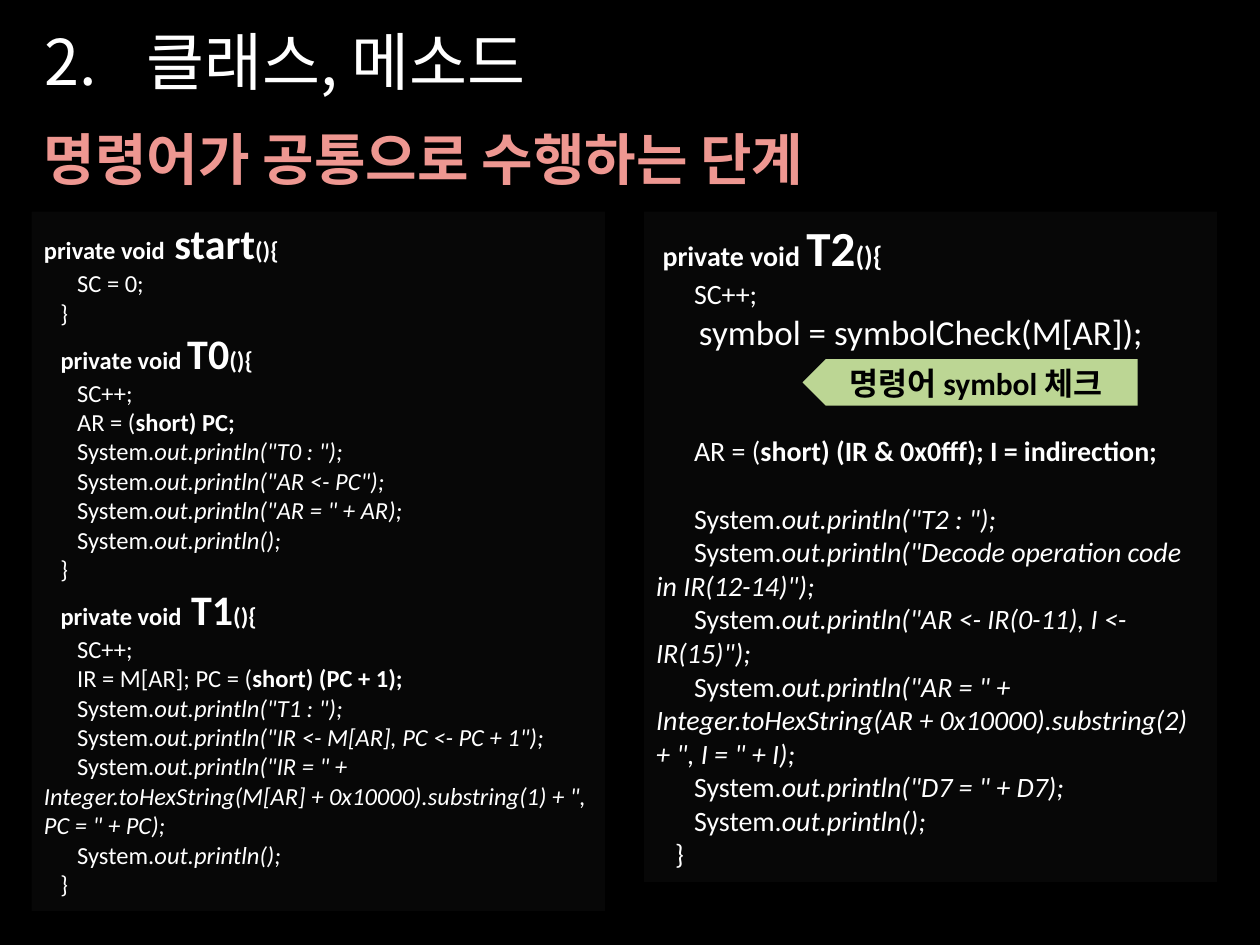
from lxml import etree
from pptx import Presentation
from pptx.dml.color import RGBColor
from pptx.enum.shapes import MSO_SHAPE
from pptx.enum.text import MSO_ANCHOR, MSO_AUTO_SIZE, PP_ALIGN
from pptx.oxml.ns import qn
from pptx.util import Inches, Pt

BLACK = RGBColor(0x00, 0x00, 0x00)
WHITE = RGBColor(0xFF, 0xFF, 0xFF)
PANEL = RGBColor(0x0D, 0x0D, 0x0D)
CORAL = RGBColor(0xEE, 0x97, 0x91)
GREEN = RGBColor(0xBC, 0xD6, 0x94)

RECTANGLE = MSO_SHAPE.RECTANGLE
PENTAGON = MSO_SHAPE.PENTAGON
TOP, MIDDLE = MSO_ANCHOR.TOP, MSO_ANCHOR.MIDDLE
LEFT, CENTER = PP_ALIGN.LEFT, PP_ALIGN.CENTER
NO_FIT, GROW = MSO_AUTO_SIZE.NONE, MSO_AUTO_SIZE.SHAPE_TO_FIT_TEXT

PLAIN, BOLD, ITALIC = {}, {"bold": True}, {"italic": True}
BODY = "      "
CLOSE = [("   }", PLAIN)]


class SlideWriter:
    """Holds the style and the current slide; places are percent of the slide."""

    latin = "Calibri"
    korean = "Noto Sans CJK KR"

    def __init__(self, deck):
        self.deck = deck
        self.slide = deck.slides.add_slide(deck.slide_layouts[5])
        fill = self.slide.background.fill
        fill.solid()
        fill.fore_color.rgb = BLACK

    def area(self, left, top, width, height):
        across, down = self.deck.slide_width / 100, self.deck.slide_height / 100
        return (round(left * across), round(top * down),
                round(width * across), round(height * down))

    def span(self, para, text, size, color=WHITE, bold=False, italic=False, font=None):
        run = para.add_run()
        run.text = text
        run.font.size = Pt(size)
        run.font.bold = bold
        run.font.italic = italic
        run.font.color.rgb = color
        run.font.name = font or self.latin
        east_asian = etree.SubElement(run.font._element, qn("a:ea"))
        east_asian.set("typeface", self.korean)

    def title(self, place, text, number):
        box = self.slide.shapes.title
        box.left, box.top, box.width, box.height = self.area(*place)
        frame = box.text_frame
        frame.auto_size = NO_FIT
        frame.vertical_anchor = TOP
        para = frame.paragraphs[0]
        para.alignment = LEFT
        properties = para._p.get_or_add_pPr()
        properties.set("marL", str(Inches(0.81)))
        properties.set("indent", str(-Inches(0.81)))
        etree.SubElement(properties, qn("a:buFont"), typeface=self.korean)
        etree.SubElement(properties, qn("a:buAutoNum"),
                         type="arabicPeriod", startAt=str(number))
        self.span(para, text, 36, font=self.korean)

    def heading(self, place, text):
        box = self.slide.shapes.add_textbox(*self.area(*place))
        frame = box.text_frame
        frame.word_wrap = True
        frame.auto_size = GROW
        self.span(frame.paragraphs[0], text, 32, CORAL, bold=True)

    def filled_shape(self, kind, place, color):
        shape = self.slide.shapes.add_shape(kind, *self.area(*place))
        shape.shadow.inherit = False
        shape.fill.solid()
        shape.fill.fore_color.rgb = color
        shape.line.fill.background()
        shape.text_frame.word_wrap = True
        return shape

    def code_panel(self, place, size, lines, gaps=None):
        """Write one paragraph a line; gaps maps a line index to points above it."""
        panel = self.filled_shape(RECTANGLE, place, PANEL)
        color = panel.fill._xPr.find(".//" + qn("a:srgbClr"))
        etree.SubElement(color, qn("a:alpha"), val="60000")
        frame = panel.text_frame
        frame.vertical_anchor = TOP
        frame.auto_size = GROW
        for index, line in enumerate(lines):
            para = frame.paragraphs[0] if index == 0 else frame.add_paragraph()
            para.alignment = LEFT
            if gaps and index in gaps:
                para.space_before = Pt(gaps[index])
            for text, style in line:
                self.span(para, text, **{"size": size, **style})

    def callout(self, place, text):
        arrow = self.filled_shape(PENTAGON, place, GREEN)
        arrow._element.spPr.find(qn("a:xfrm")).set("flipH", "1")
        arrow.text_frame.vertical_anchor = MIDDLE
        para = arrow.text_frame.paragraphs[0]
        para.alignment = CENTER
        self.span(para, text, 18, BLACK, bold=True)


def method_head(name, size, indent="   ", keyword="private void"):
    return [(indent, PLAIN), (keyword, BOLD),
            (name, {"bold": True, "size": size}), ("(){", BOLD)]


def statement(plain, bold=""):
    line = [(BODY + plain, PLAIN)]
    return line + [(bold, BOLD)] if bold else line


def println(argument=""):
    return [(BODY + "System.", PLAIN), (f"out.println({argument});", ITALIC)]


FETCH_CODE = [
    method_head(" start", 24)[1:],
    statement("SC = 0;"),
    CLOSE,
    method_head("T0", 24, keyword="private void "),
    statement("SC++;"),
    statement("AR = (", "short) PC;"),
    println('"T0 : "'),
    println('"AR <- PC"'),
    println('"AR = " + AR'),
    println(),
    CLOSE,
    method_head(" T1", 24),
    statement("SC++;"),
    statement("IR = M[AR]; PC = (", "short) (PC + 1);"),
    println('"T1 : "'),
    println('"IR <- M[AR], PC <- PC + 1"'),
    println('"IR = " + Integer.toHexString(M[AR] + 0x10000).substring(1) + ", PC = " + PC'),
    println(),
    CLOSE,
]

DECODE_CODE = [
    method_head("T2", 28, indent=" ", keyword="private void "),
    statement("SC++;"),
    [(BODY, {"size": 18}), ("symbol = symbolCheck(M[AR]);", {"size": 20})],
    statement("AR = (", "short) (IR & 0x0fff); I = indirection;"),
    println('"T2 : "'),
    println('"Decode operation code in IR(12-14)"'),
    println('"AR <- IR(0-11), I <- IR(15)"'),
    println('"AR = " + Integer.toHexString(AR + 0x10000).substring(2) + ", I = " + I'),
    println('"D7 = " + D7'),
    println(),
    CLOSE,
]


def main():
    deck = Presentation()
    deck.slide_width, deck.slide_height = Inches(10), Inches(7.5)
    writer = SlideWriter(deck)
    writer.title((2.5, 1.73, 95, 9.47), "클래스, 메소드", number=2)
    writer.heading((2.5, 12.53, 71.3, 8.53), "명령어가 공통으로 수행하는 단계")
    writer.code_panel((2.5, 22.4, 45.5, 74), 14, FETCH_CODE)
    writer.code_panel((51.1, 22.4, 45.5, 70.93), 16, DECODE_CODE, gaps={3: 46.4, 4: 19.5})
    writer.callout((63.7, 38, 26.6, 4.93), "명령어 symbol 체크")
    deck.save("out.pptx")


if __name__ == "__main__":
    main()
